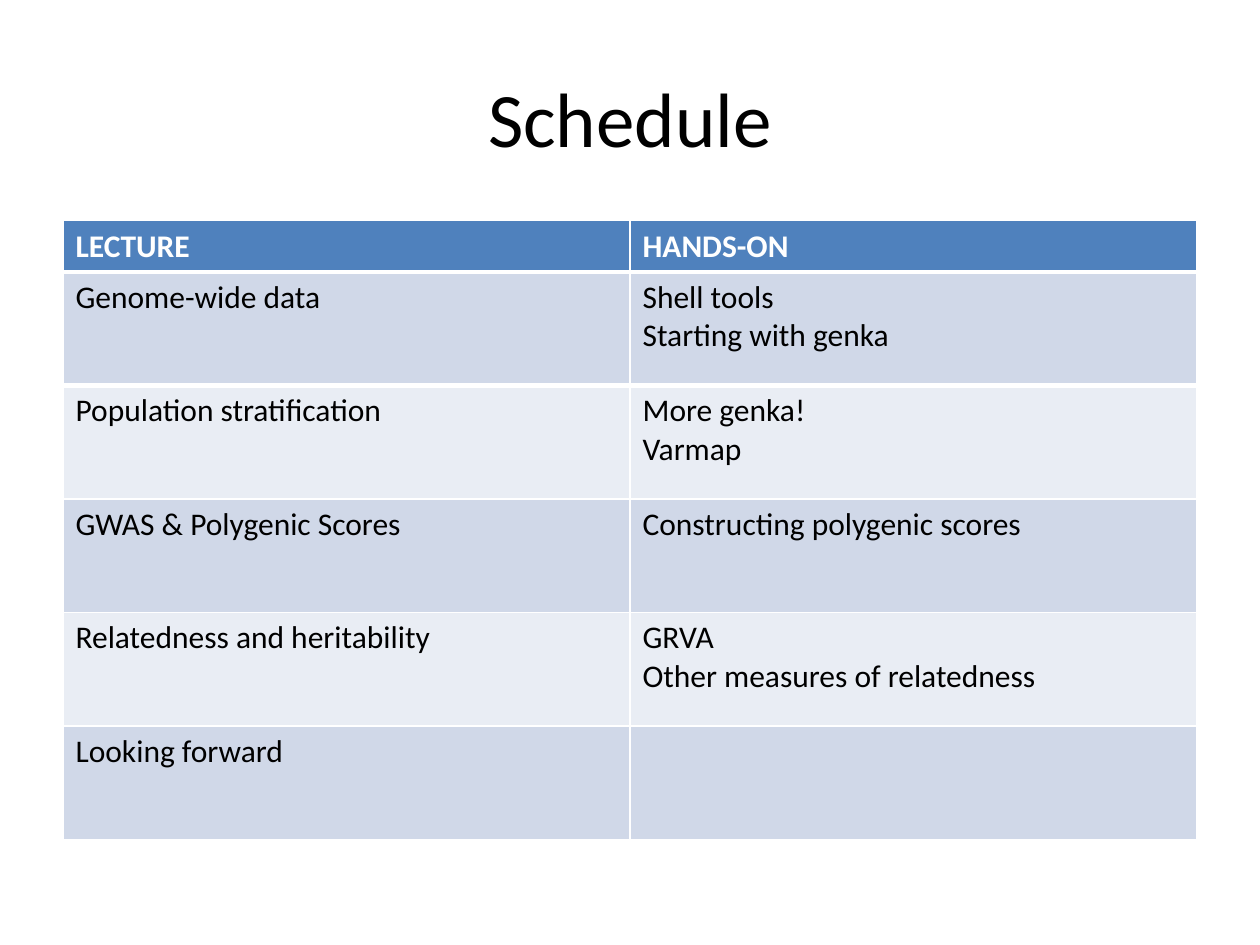
from dataclasses import dataclass

from lxml.etree import SubElement
from pptx import Presentation
from pptx.dml.color import RGBColor as Rgb
from pptx.enum.text import MSO_ANCHOR as Anchor, PP_ALIGN as Align
from pptx.oxml.ns import qn
from pptx.util import Cm, Pt


@dataclass(frozen=True)
class Theme:
    """Colours, font and type sizes of the slide."""
    font: str = "Calibri"
    title_size: int = 44
    table_size: int = 18
    ink: str = "000000"
    header_ink: str = "FFFFFF"
    header_fill: str = "4F81BD"
    rule: str = "FFFFFF"
    rule_width: int = 3
    bands: tuple = ("D0D8E8", "E9EDF4")


THEME = Theme()
LEFT, WIDTH = Cm(1.27), Cm(22.86)
HEADER_HEIGHT, SESSION_HEIGHT = Cm(1.02), Cm(2.29)
SCHEDULE = [
    ("LECTURE", "HANDS-ON"),
    ("Genome-wide data", "Shell tools\nStarting with genka"),
    ("Population stratification", "More genka!\nVarmap"),
    ("GWAS & Polygenic Scores", "Constructing polygenic scores"),
    ("Relatedness and heritability", "GRVA\nOther measures of relatedness"),
    ("Looking forward", ""),
]


def style_text(frame, size, ink, bold=False):
    """Give every paragraph of a text frame the same font."""
    for paragraph in frame.paragraphs:
        font = paragraph.font
        font.name, font.size, font.bold = THEME.font, Pt(size), bold
        font.color.rgb = Rgb.from_string(ink)


def add_title(slide, wording):
    """Place and fill the title placeholder."""
    title = slide.shapes.title
    title.left, title.top, title.width, title.height = LEFT, Cm(0.76), WIDTH, Cm(3.18)
    title.text_frame.text = wording
    title.text_frame.vertical_anchor = Anchor.MIDDLE
    title.text_frame.paragraphs[0].alignment = Align.CENTER
    style_text(title.text_frame, THEME.title_size, THEME.ink)


def fill_cell(cell, wording, fill, ink, bold):
    """Write one table cell and colour it."""
    cell.text = wording
    cell.fill.solid()
    cell.fill.fore_color.rgb = Rgb.from_string(fill)
    style_text(cell.text_frame, THEME.table_size, ink, bold)


def rule_cell(cell, edge):
    """Draw the thick header rule along one edge of a cell."""
    properties = cell._tc.get_or_add_tcPr()
    line = SubElement(properties, qn(edge), w=str(Pt(THEME.rule_width)))
    SubElement(SubElement(line, qn("a:solidFill")), qn("a:srgbClr"), val=THEME.rule)
    properties.insert(0, line)


def add_schedule(slide, sessions):
    """Add the table with a header row and alternating session rows."""
    height = HEADER_HEIGHT + SESSION_HEIGHT * (len(sessions) - 1)
    table = slide.shapes.add_table(
        len(sessions), len(sessions[0]), LEFT, Cm(4.45), WIDTH, height).table
    for index, session in enumerate(sessions):
        is_header = index == 0
        table.rows[index].height = HEADER_HEIGHT if is_header else SESSION_HEIGHT
        fill = THEME.header_fill if is_header else THEME.bands[(index - 1) % 2]
        ink = THEME.header_ink if is_header else THEME.ink
        for column, wording in enumerate(session):
            fill_cell(table.cell(index, column), wording, fill, ink, is_header)
    for column in range(len(sessions[0])):
        rule_cell(table.cell(0, column), "a:lnB")
        rule_cell(table.cell(1, column), "a:lnT")


def main():
    """Build the schedule slide and save it."""
    deck = Presentation()
    deck.slide_width, deck.slide_height = Cm(25.4), Cm(19.05)
    slide = deck.slides.add_slide(deck.slide_layouts.get_by_name("Title Only"))
    add_title(slide, "Schedule")
    add_schedule(slide, SCHEDULE)
    deck.save("out.pptx")


if __name__ == "__main__":
    main()
